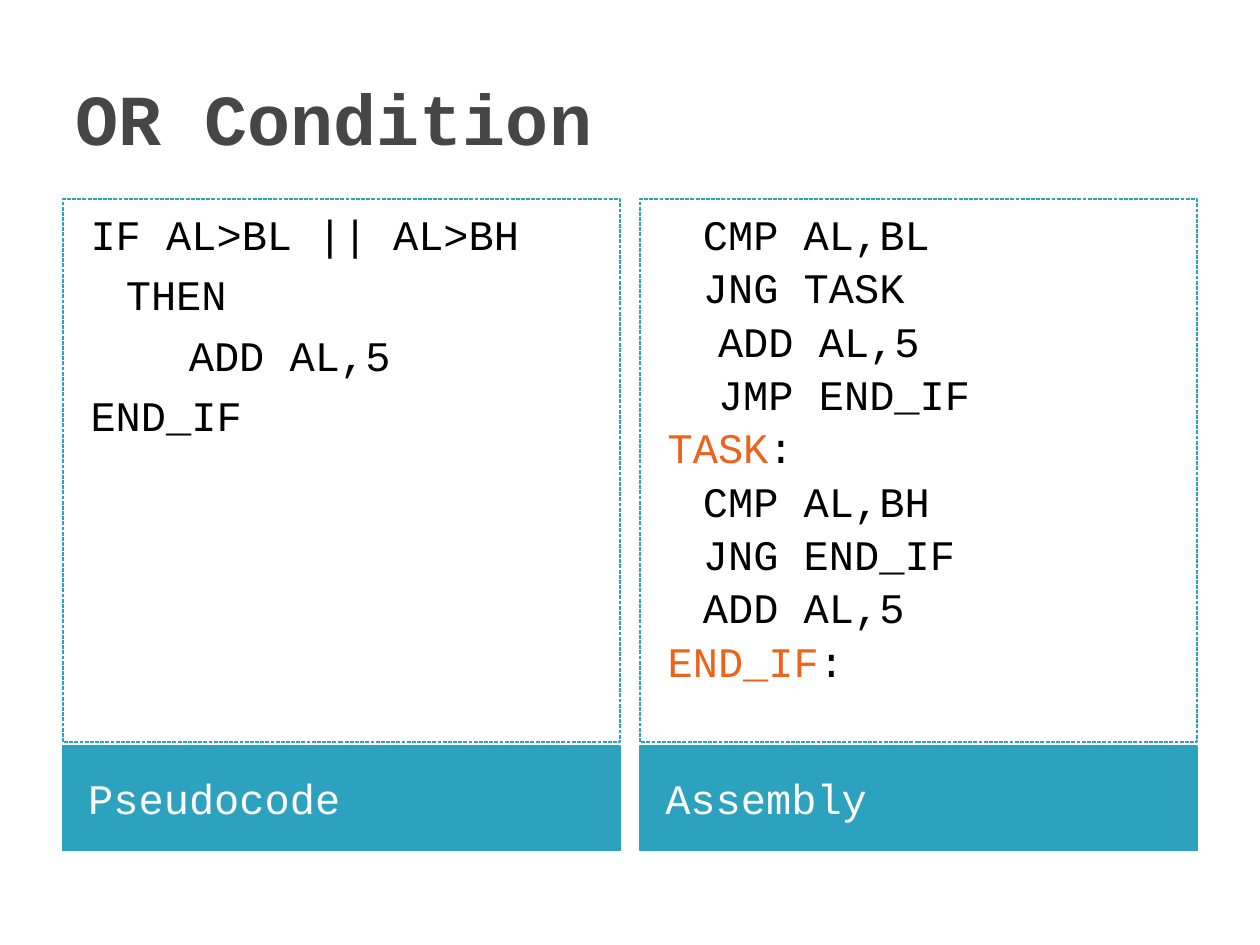
from pptx import Presentation
from pptx.dml.color import RGBColor
from pptx.enum.dml import MSO_LINE
from pptx.enum.shapes import MSO_SHAPE
from pptx.enum.text import MSO_ANCHOR, PP_ALIGN
from pptx.util import Inches, Pt

FONT = "Courier New"
TEAL, ORANGE, BLACK, WHITE, GREY = "2DA2BF", "EB641B", "000000", "FFFFFF", "464646"
MARGIN, COL_W, COL_STEP = 0.5, 4.42, 4.58
CODE_TOP, CODE_H = 1.58, 4.31
LABEL_TOP, LABEL_H = 5.92, 0.83

COLUMNS = [
    ("Pseudocode", 4, ["IF AL>BL || AL>BH", "\tTHEN", "\t\tADD AL,5", "END_IF"]),
    ("Assembly", 0, ["\tCMP AL,BL", "\tJNG TASK", "  ADD AL,5", "  JMP END_IF", "TASK:",
                     "\tCMP AL,BH", "\tJNG END_IF", "\tADD AL,5", "END_IF:"]),
]


def rgb(value):
    """Return the colour for a hex string."""
    return RGBColor.from_string(value)


def add_run(p, text, color, size=24, bold=False):
    """Add one formatted run to a paragraph."""
    r = p.add_run()
    r.text = text
    r.font.name, r.font.size, r.font.bold = FONT, Pt(size), bold
    r.font.color.rgb = rgb(color)


def add_box(s, col, top, height, anchor):
    """Add an outlined rectangle in a column of the grid."""
    sp = s.shapes.add_shape(MSO_SHAPE.RECTANGLE, Inches(MARGIN + col * COL_STEP),
                            Inches(top), Inches(COL_W), Inches(height))
    sp.shadow.inherit = False
    sp.line.color.rgb = rgb(TEAL)
    sp.line.width = Pt(0.75)
    sp.text_frame.word_wrap = True
    sp.text_frame.vertical_anchor = anchor
    return sp


def add_label(s, col, text):
    """Add the filled caption under a column."""
    sp = add_box(s, col, LABEL_TOP, LABEL_H, MSO_ANCHOR.MIDDLE)
    sp.fill.solid()
    sp.fill.fore_color.rgb = rgb(TEAL)
    sp.text_frame.margin_left = Inches(0.2)
    p = sp.text_frame.paragraphs[0]
    p.alignment = PP_ALIGN.LEFT
    add_run(p, text, WHITE)


def add_code(s, col, lines, gap):
    """Add a dashed code panel whose jump labels are highlighted."""
    sp = add_box(s, col, CODE_TOP, CODE_H, MSO_ANCHOR.TOP)
    sp.fill.background()
    sp.line.dash_style = MSO_LINE.SQUARE_DOT
    tf = sp.text_frame
    for i, line in enumerate(lines):
        p = tf.add_paragraph() if i else tf.paragraphs[0]
        p.alignment = PP_ALIGN.LEFT
        p.line_spacing = 1.06
        if i:
            p.space_before = Pt(gap)
        pPr = p._p.get_or_add_pPr()
        pPr.set("marL", str(Inches(0.4)))
        pPr.set("indent", str(Inches(-0.28)))
        name, colon, _ = line.partition(":")
        add_run(p, name, ORANGE if colon else BLACK)
        if colon:
            add_run(p, colon, BLACK)


def add_title(s, text):
    """Place and fill the title placeholder."""
    sp = s.shapes.title
    sp.left, sp.top, sp.width, sp.height = map(Inches, (MARGIN, 0.3, 9, 1.25))
    sp.text_frame.vertical_anchor = MSO_ANCHOR.MIDDLE
    p = sp.text_frame.paragraphs[0]
    p.alignment = PP_ALIGN.LEFT
    add_run(p, text, GREY, 41, True)


def main():
    """Build the slide and save it."""
    prs = Presentation()
    prs.slide_width, prs.slide_height = Inches(10), Inches(7.5)
    s = prs.slides.add_slide(prs.slide_layouts[5])
    add_title(s, "OR Condition")
    for col, (label, gap, lines) in enumerate(COLUMNS):
        add_label(s, col, label)
        add_code(s, col, lines, gap)
    prs.save("out.pptx")


if __name__ == "__main__":
    main()
